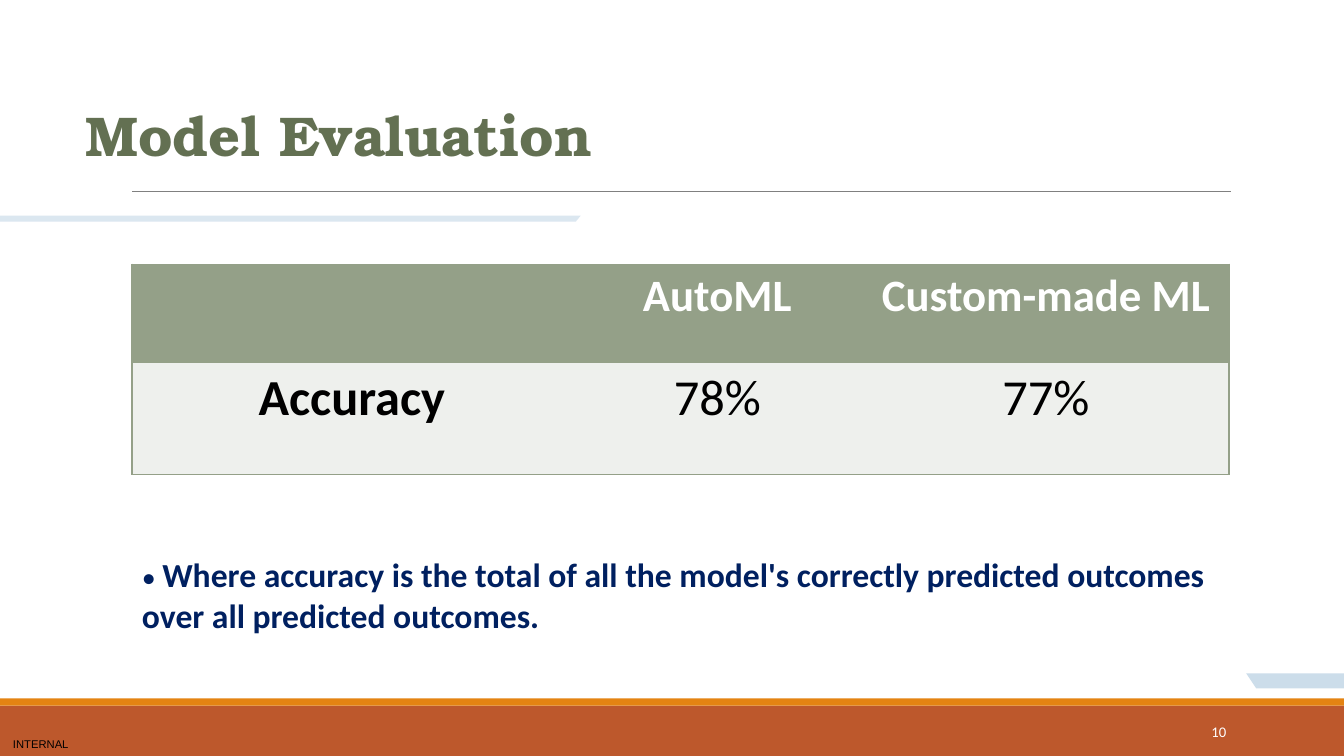
from lxml.etree import SubElement
from pptx import Presentation
from pptx.dml.color import RGBColor
from pptx.enum.shapes import MSO_CONNECTOR, MSO_SHAPE
from pptx.enum.text import MSO_ANCHOR, PP_ALIGN
from pptx.oxml import parse_xml
from pptx.oxml.ns import nsdecls, qn
from pptx.util import Inches, Pt

WHITE = RGBColor(0xFF, 0xFF, 0xFF)
BLACK = RGBColor(0x00, 0x00, 0x00)
RUST = RGBColor(0xBD, 0x58, 0x2C)
ORANGE = RGBColor(0xE4, 0x83, 0x12)
GRAY = RGBColor(0x80, 0x80, 0x80)
PALE_BLUE = RGBColor(0xCC, 0xDD, 0xEA)
MOSS = RGBColor(0x63, 0x70, 0x52)
SAGE = RGBColor(0x94, 0xA0, 0x88)
PALE_SAGE = RGBColor(0xEE, 0xF0, 0xED)
NAVY = RGBColor(0x00, 0x20, 0x60)

WIDTH, HEIGHT = 13.33, 7.5
LEFT = 1.31
NO_TABLE_STYLE = "{2D5ABB26-0587-4C30-8999-92F81FD0307C}"

presentation = Presentation()
presentation.slide_width = Inches(WIDTH)
presentation.slide_height = Inches(HEIGHT)
slide = presentation.slides.add_slide(presentation.slide_layouts[6])
shapes = slide.shapes


def fill_plain(shape, color):
    """Give a shape a solid fill without outline or shadow."""
    shape.fill.solid()
    shape.fill.fore_color.rgb = color
    shape.line.fill.background()
    shape.shadow.inherit = False


def add_text(box, runs, font_name, color, align=PP_ALIGN.LEFT,
             anchor=MSO_ANCHOR.TOP, insets=(0.1, 0.05)):
    """Add a text box of (text, size, bold) runs and return its paragraph."""
    frame = shapes.add_textbox(*map(Inches, box)).text_frame
    frame.word_wrap = True
    frame.vertical_anchor = anchor
    frame.margin_left = frame.margin_right = Inches(insets[0])
    frame.margin_top = frame.margin_bottom = Inches(insets[1])
    paragraph = frame.paragraphs[0]
    paragraph.alignment = align
    paragraph.font.name = font_name
    paragraph.font.color.rgb = color
    for text, size, bold in runs:
        run = paragraph.add_run()
        run.text = text
        run.font.name = font_name
        run.font.size = Pt(size)
        run.font.bold = bold
        run.font.color.rgb = color
    return paragraph


# Footer bands and title rule
for top, height, color in ((7, 0.5, RUST), (6.93, 0.07, ORANGE)):
    band = shapes.add_shape(MSO_SHAPE.RECTANGLE, 0, Inches(top), Inches(WIDTH), Inches(height))
    fill_plain(band, color)

rule = shapes.add_connector(MSO_CONNECTOR.STRAIGHT, Inches(LEFT), Inches(1.9),
                            Inches(12.21), Inches(1.9))
rule.line.color.rgb = GRAY
rule.line.width = Pt(0.5)
SubElement(rule._element.spPr, qn("a:effectLst"))

# Slanted accents: corner points and opacity in percent
accents = (
    (((12.36, 6.68), (WIDTH, 6.68), (WIDTH, 6.83), (12.46, 6.83)), 100),
    (((0, 2.14), (5.76, 2.14), (5.71, 2.2), (0, 2.2)), 70),
)
for corners, opacity in accents:
    points = [(Inches(x), Inches(y)) for x, y in corners]
    builder = shapes.build_freeform(*points[0])
    builder.add_line_segments(points[1:], close=True)
    accent = builder.convert_to_shape()
    fill_plain(accent, PALE_BLUE)
    if opacity < 100:
        color_element = accent._element.spPr.find(qn("a:solidFill"))[0]
        SubElement(color_element, qn("a:alpha")).set("val", str(opacity * 1000))

# Footer texts and title
add_text((0, 7.26, 0.81, 0.24), [("INTERNAL", 8, False)], "Arial", BLACK,
         PP_ALIGN.CENTER, MSO_ANCHOR.MIDDLE, (0, 0))
add_text((10.83, 7.06, 1.43, 0.4), [("10", 10.5, False)], "Calibri", WHITE,
         PP_ALIGN.RIGHT, MSO_ANCHOR.MIDDLE)
title = add_text((0.85, 1.02, 5.32, 0.82), [("Model Evaluation", 40, True)],
                 "TeX Gyre Bonum", MOSS, insets=(0, 0.05))
title.line_spacing = 0.9
title.space_before = Pt(12)
title.space_after = Pt(2)

# Accuracy table
rows = (("", "AutoML", "Custom-made ML"), ("Accuracy", "78%", "77%"))
column_widths = (4.36, 2.89, 3.63)
row_heights = (0.98, 1.11)
table_frame = shapes.add_table(len(rows), len(column_widths), Inches(LEFT), Inches(2.62),
                               Inches(sum(column_widths)), Inches(sum(row_heights)))
table = table_frame.table
table._tbl.tblPr.find(qn("a:tableStyleId")).text = NO_TABLE_STYLE
for column, width in zip(table.columns, column_widths):
    column.width = Inches(width)
for row, height in zip(table.rows, row_heights):
    row.height = Inches(height)

for row_index, texts in enumerate(rows):
    is_header = row_index == 0
    for column_index, text in enumerate(texts):
        cell = table.cell(row_index, column_index)
        cell.text = text
        cell.fill.solid()
        cell.fill.fore_color.rgb = SAGE if is_header else PALE_SAGE
        paragraph = cell.text_frame.paragraphs[0]
        paragraph.alignment = PP_ALIGN.CENTER
        paragraph.font.name = "Calibri"
        paragraph.font.size = Pt(32 if is_header else 36)
        paragraph.font.bold = is_header or column_index == 0
        paragraph.font.color.rgb = WHITE if is_header else BLACK

        sides = ["T", "B"]
        if column_index == len(texts) - 1:
            sides.insert(0, "R")
        if column_index == 0:
            sides.insert(0, "L")
        for position, side in enumerate(sides):
            border = parse_xml(
                f'<a:ln{side} {nsdecls("a")} w="{Pt(1)}"><a:solidFill>'
                f'<a:srgbClr val="{SAGE}"/></a:solidFill></a:ln{side}>')
            cell._tc.get_or_add_tcPr().insert(position, border)

# Definition of the measure
add_text((LEFT, 5.45, 11.16, 0.91), [
    ("• ", 20, False),
    ("Where accuracy is the total of all the model's correctly predicted outcomes "
     "over all predicted outcomes.", 24, True),
], "Calibri", NAVY)

presentation.save("out.pptx")
